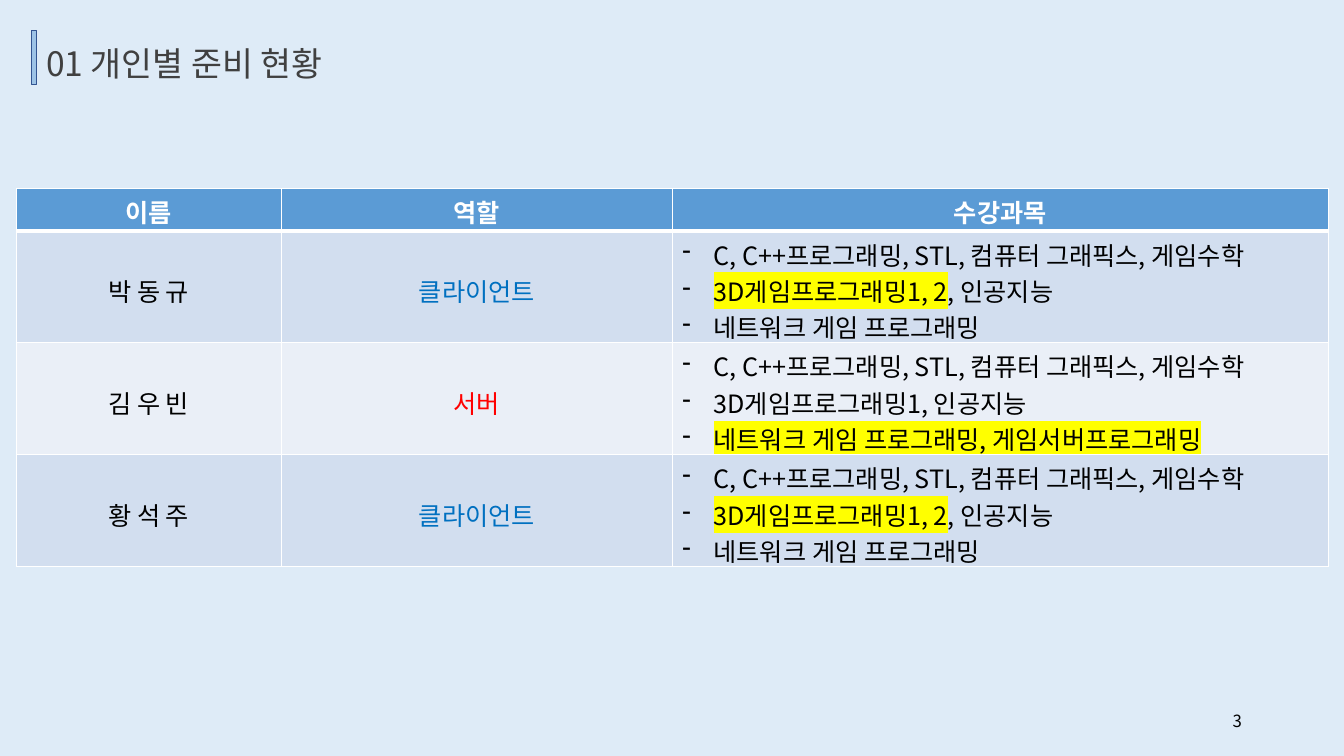
from typing import NamedTuple

from lxml import etree
from pptx import Presentation
from pptx.dml.color import RGBColor
from pptx.enum.shapes import MSO_SHAPE
from pptx.enum.text import MSO_ANCHOR, PP_ALIGN
from pptx.oxml.ns import qn
from pptx.util import Inches, Pt

RECT = MSO_SHAPE.RECTANGLE
TOP, MIDDLE = MSO_ANCHOR.TOP, MSO_ANCHOR.MIDDLE
LEFT, CENTER, RIGHT = PP_ALIGN.LEFT, PP_ALIGN.CENTER, PP_ALIGN.RIGHT

FONT = "Noto Sans CJK KR"
BACKGROUND = RGBColor(0xDE, 0xEB, 0xF7)
TITLE_GREY = RGBColor(0x40, 0x40, 0x40)
BAR_FILL = RGBColor(0x9D, 0xC3, 0xE6)
BAR_LINE = RGBColor(0x32, 0x54, 0x91)
HEADER_FILL = RGBColor(0x5B, 0x9B, 0xD5)
BANDS = (RGBColor(0xD2, 0xDE, 0xEF), RGBColor(0xEA, 0xEF, 0xF7))
WHITE = RGBColor(0xFF, 0xFF, 0xFF)
BLACK = RGBColor(0x00, 0x00, 0x00)
BLUE = RGBColor(0x00, 0x70, 0xC0)
RED = RGBColor(0xFF, 0x00, 0x00)
YELLOW = RGBColor(0xFF, 0xFF, 0x00)

SLIDE_W, SLIDE_H = Inches(13.333), Inches(7.5)


class Box(NamedTuple):
    """Left, top, width and height in percent of the slide."""
    left: float
    top: float
    width: float
    height: float


class Piece(NamedTuple):
    text: str
    marked: bool = False


class Member(NamedTuple):
    name: str
    role: str
    color: RGBColor
    courses: tuple


BAR = Box(2.33, 4, 0.38, 7.2)
TITLE = Box(2.7, 5.07, 38.18, 6.67)
TABLE = Box(1.2, 24.93, 97.63, 50)
NUMBER = Box(70.65, 92.67, 22.5, 5.33)
COLUMNS = (19.73, 29.1, 48.8)
ROWS = (5.6, 14.8, 14.8, 14.8)

HEADERS = ("이름", "역할", "수강과목")
BASICS = (Piece("C, C++프로그래밍, STL, 컴퓨터 그래픽스, 게임수학"),)
CLIENT_COURSES = (
    BASICS,
    (Piece("3D게임프로그래밍1, 2", True), Piece(", 인공지능")),
    (Piece("네트워크 게임 프로그래밍"),),
)
SERVER_COURSES = (
    BASICS,
    (Piece("3D게임프로그래밍1, 인공지능"),),
    (Piece("네트워크 게임 프로그래밍, 게임서버프로그래밍", True),),
)
MEMBERS = (
    Member("박 동 규", "클라이언트", BLUE, CLIENT_COURSES),
    Member("김 우 빈", "서버", RED, SERVER_COURSES),
    Member("황 석 주", "클라이언트", BLUE, CLIENT_COURSES),
)


def across(percent: float) -> int:
    return round(SLIDE_W * percent / 100)


def down(percent: float) -> int:
    return round(SLIDE_H * percent / 100)


def place(box: Box) -> tuple:
    return across(box.left), down(box.top), across(box.width), down(box.height)


def add_color(parent, tag: str, color: RGBColor) -> None:
    node = etree.SubElement(parent, qn(tag))
    etree.SubElement(node, qn("a:srgbClr"), val=str(color))


def add_run(p, piece: Piece, color: RGBColor, size: float = 18,
            bold: bool = False) -> None:
    r = p.add_run()
    r.text = piece.text
    r.font.color.rgb = color
    props = r.font._element
    if piece.marked:
        add_color(props, "a:highlight", YELLOW)
    for key, value in {"name": FONT, "size": Pt(size), "bold": bold}.items():
        setattr(r.font, key, value)
    etree.SubElement(props, qn("a:ea"), typeface=FONT)


def add_text(slide, box: Box, text: str, size: float, color: RGBColor,
             align=LEFT, anchor=TOP) -> None:
    tf = slide.shapes.add_textbox(*place(box)).text_frame
    for key, value in {"word_wrap": True, "vertical_anchor": anchor}.items():
        setattr(tf, key, value)
    p = tf.paragraphs[0]
    p.alignment = align
    add_run(p, Piece(text), color, size)


def style_cell(cell, fill: RGBColor, bottom: float = 1, top: float = 1) -> None:
    props = cell._tc.get_or_add_tcPr()
    for side, width in {"L": 1, "R": 1, "T": top, "B": bottom}.items():
        ln = etree.SubElement(props, qn(f"a:ln{side}"), w=str(Pt(width)))
        add_color(ln, "a:solidFill", WHITE)
    cell.fill.solid()
    cell.fill.fore_color.rgb = fill


def center_text(cell, text: str, color: RGBColor, bold: bool = False) -> None:
    p = cell.text_frame.paragraphs[0]
    p.alignment = CENTER
    add_run(p, Piece(text), color, bold=bold)


def list_courses(cell, courses: tuple) -> None:
    tf = cell.text_frame
    for i, pieces in enumerate(courses):
        p = tf.add_paragraph() if i else tf.paragraphs[0]
        props = p._p.get_or_add_pPr()
        indent = Inches(0.31)
        props.set("marL", str(indent))
        props.set("indent", str(-indent))
        etree.SubElement(props, qn("a:buFontTx"))
        etree.SubElement(props, qn("a:buChar"), char="-")
        for piece in pieces:
            add_run(p, piece, BLACK)


def add_member_table(slide) -> None:
    table = slide.shapes.add_table(len(ROWS), len(COLUMNS), *place(TABLE)).table
    for column, width in zip(table.columns, COLUMNS):
        column.width = across(width)
    for row, height in zip(table.rows, ROWS):
        row.height = down(height)
    for col, header in enumerate(HEADERS):
        cell = table.cell(0, col)
        style_cell(cell, HEADER_FILL, bottom=3)
        center_text(cell, header, WHITE, bold=True)
    for row, member in enumerate(MEMBERS, 1):
        cells = [table.cell(row, col) for col in range(len(COLUMNS))]
        for cell in cells:
            style_cell(cell, BANDS[(row - 1) % 2], top=3 if row == 1 else 1)
        for cell, text, color in zip(cells, member[:2], (BLACK, member.color)):
            cell.vertical_anchor = MIDDLE
            cell.margin_top = Inches(0.13)
            center_text(cell, text, color)
        list_courses(cells[2], member.courses)


def add_bar(slide) -> None:
    sp = slide.shapes.add_shape(RECT, *place(BAR))
    sp.shadow.inherit = False
    sp.fill.solid()
    sp.fill.fore_color.rgb = BAR_FILL
    sp.line.color.rgb = BAR_LINE
    sp.line.width = Pt(1)


def main() -> None:
    prs = Presentation()
    prs.slide_width, prs.slide_height = SLIDE_W, SLIDE_H
    s = prs.slides.add_slide(prs.slide_layouts[6])
    s.background.fill.solid()
    s.background.fill.fore_color.rgb = BACKGROUND

    # Heading
    add_text(s, TITLE, "01 개인별 준비 현황", 24, TITLE_GREY)
    add_bar(s)

    # Members, roles and courses
    add_member_table(s)

    # Slide number
    add_text(s, NUMBER, "3", 12, BLACK, RIGHT, MIDDLE)
    prs.save("out.pptx")


if __name__ == "__main__":
    main()
